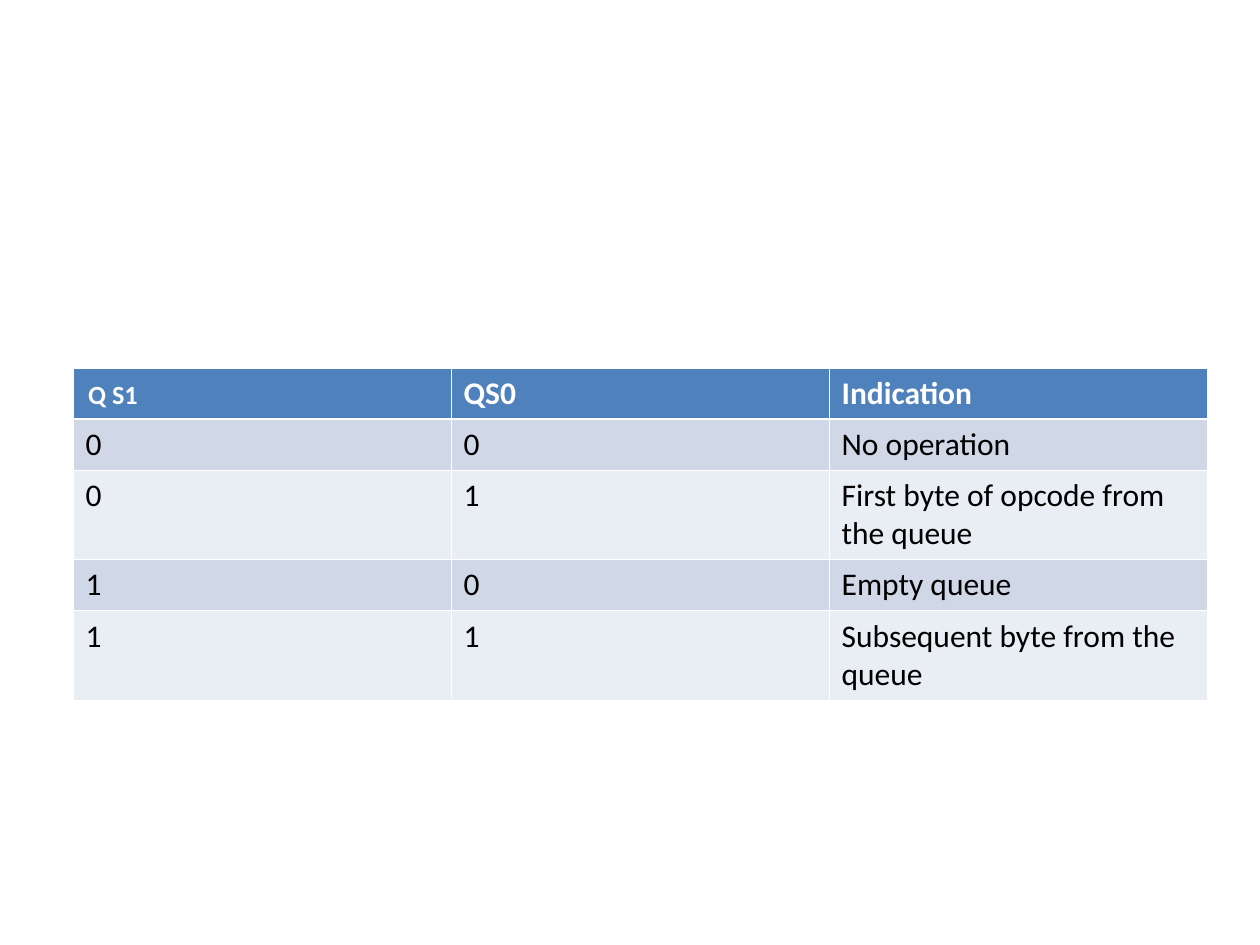
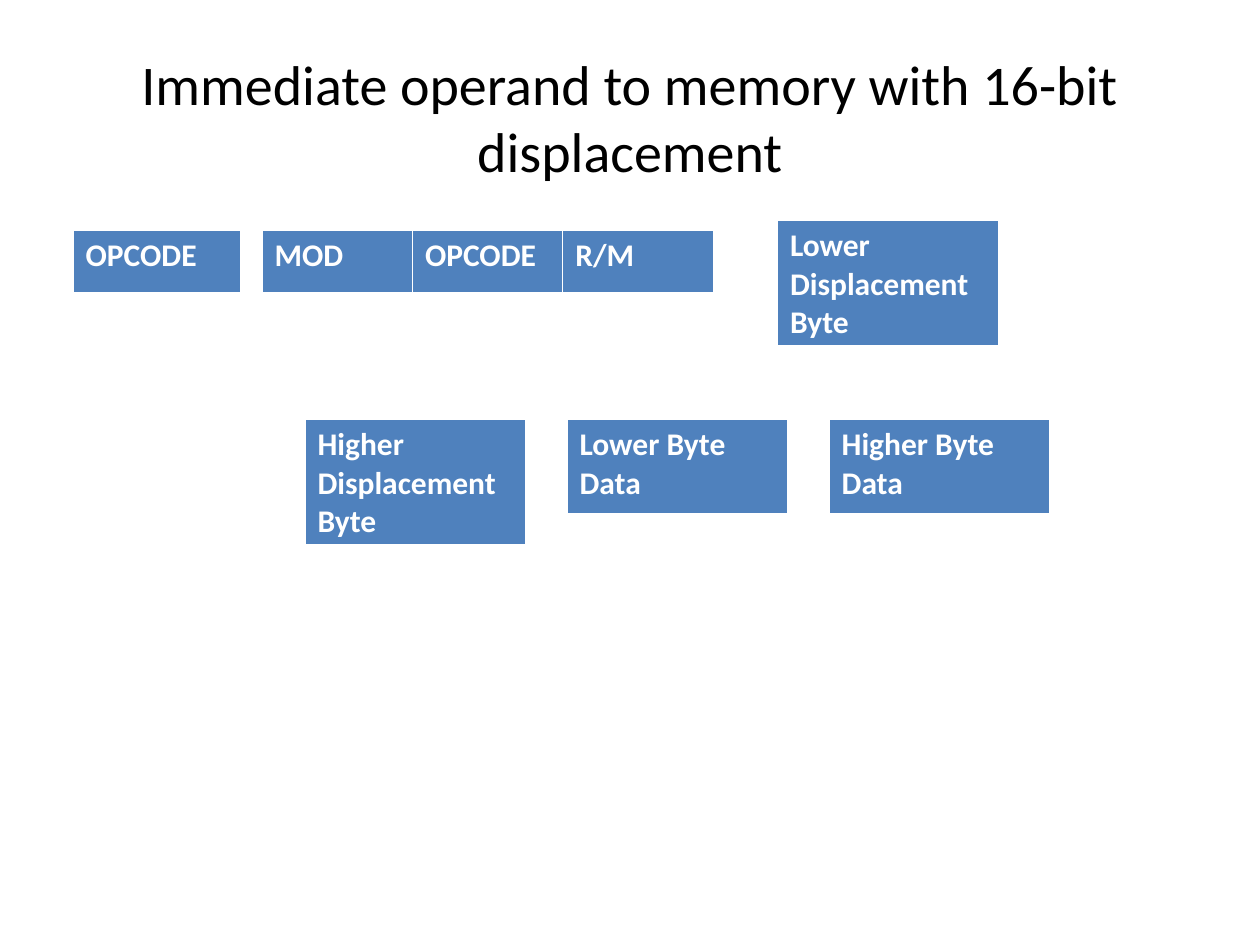
from lxml import etree
from pptx import Presentation
from pptx.dml.color import RGBColor
from pptx.enum import text
from pptx.oxml.ns import qn
from pptx.util import Inches, Pt


def color(code):
    return RGBColor.from_string(code)


class Deck:
    white, black, blue = "FFFFFF", "000000", "4F81BD"
    bands = ("D0D8E8", "E9EDF4")
    head = {"name": "Calibri", "size": Pt(18), "bold": True}
    body = {**head, "bold": False}
    title = {**body, "size": Pt(32)}

    def __init__(self):
        self.file = Presentation()
        self.file.slide_width = Inches(10)
        self.file.slide_height = Inches(7.5)
        self.slide = None

    def page(self):
        self.slide = self.file.slides.add_slide(self.file.slide_layouts[6])

    def style(self, font, looks, code):
        for key, value in looks.items():
            setattr(font, key, value)
        font.color.rgb = color(code)

    def heading(self, words):
        box = self.slide.shapes.add_textbox(Inches(0.5), Inches(0.3), Inches(9), Inches(1.25))
        frame = box.text_frame
        frame.word_wrap = True
        frame.vertical_anchor = text.MSO_ANCHOR.MIDDLE
        para = frame.paragraphs[0]
        para.text = words
        para.alignment = text.PP_ALIGN.CENTER
        self.style(para.font, self.title, self.black)

    def edges(self, cell, row):
        props = cell._tc.get_or_add_tcPr()
        thick = {"T": row == 1, "B": row == 0}
        for side in "LRTB":
            width = Pt(1.47 if thick.get(side) else 0.45)
            line = etree.SubElement(props, qn(f"a:ln{side}"), w=str(width))
            fill = etree.SubElement(line, qn("a:solidFill"))
            etree.SubElement(fill, qn("a:srgbClr"), val=self.white)

    def table(self, left, top, width, heights, rows):
        count = len(rows[0])
        grid = self.slide.shapes.add_table(
            len(rows), count, Inches(left), Inches(top), Inches(width), Inches(sum(heights))
        ).table
        for col in grid.columns:
            col.width = Inches(width / count)
        for at, (height, row) in enumerate(zip(heights, rows)):
            grid.rows[at].height = Inches(height)
            back = self.bands[(at - 1) % 2] if at else self.blue
            looks, ink = (self.body, self.black) if at else (self.head, self.white)
            for spot, words in enumerate(row):
                cell = grid.cell(at, spot)
                self.edges(cell, at)
                cell.fill.solid()
                cell.fill.fore_color.rgb = color(back)
                cell.text = words
                self.style(cell.text_frame.paragraphs[0].font, looks, ink)
        return grid


def queue(deck):
    deck.page()
    grid = deck.table(0.58, 2.92, 9, (0.4, 0.4, 0.7, 0.4, 0.7), (
        ("Q S1", "QS0", "Indication"),
        ("0", "0", "No operation"),
        ("0", "1", "First byte of opcode from the queue"),
        ("1", "0", "Empty queue"),
        ("1", "1", "Subsequent byte from the queue"),
    ))
    first = grid.cell(0, 0)
    first.margin_left = Inches(0.12)
    para = first.text_frame.paragraphs[0]
    para.line_spacing = 1.15
    para.space_after = Pt(10)
    para.font.size = Pt(15)


def operand(deck):
    deck.page()
    deck.heading("Immediate operand to memory with 16-bit displacement")
    for left, top, width, height, *words in (
        (0.58, 1.83, 1.33, 0.5, "OPCODE"),
        (2.08, 1.83, 3.58, 0.5, "MOD", "OPCODE", "R/M"),
        (6.17, 1.75, 1.75, 1, "Lower Displacement Byte"),
        (2.42, 3.33, 1.75, 1, "Higher Displacement Byte"),
        (4.5, 3.33, 1.75, 0.75, "Lower Byte Data"),
        (6.58, 3.33, 1.75, 0.75, "Higher Byte Data"),
    ):
        deck.table(left, top, width, (height,), (words,))


def main():
    deck = Deck()
    queue(deck)
    operand(deck)
    deck.file.save("out.pptx")


if __name__ == "__main__":
    main()
